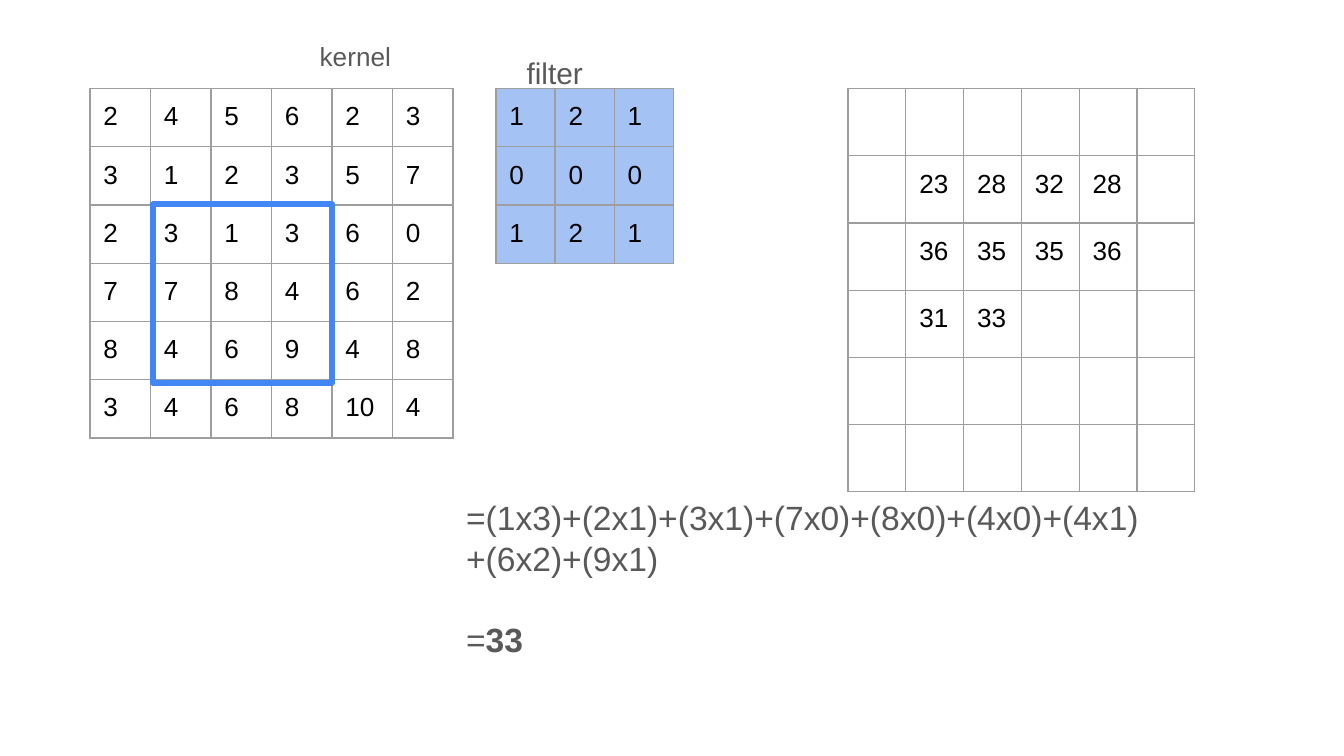
from dataclasses import dataclass
from typing import Optional

from lxml.etree import SubElement
from pptx import Presentation
from pptx.dml.color import RGBColor
from pptx.enum.shapes import MSO_SHAPE as Shape
from pptx.oxml.ns import qn
from pptx.util import Inches, Pt

BLACK = RGBColor(0x00, 0x00, 0x00)
GRAY = RGBColor(0x59, 0x59, 0x59)
BORDER = RGBColor(0x9E, 0x9E, 0x9E)
BLUE = RGBColor(0x42, 0x85, 0xF4)
LIGHT_BLUE = RGBColor(0xA4, 0xC2, 0xF4)
SLIDE_WIDTH = Inches(10)
SLIDE_HEIGHT = SLIDE_WIDTH * 9 // 16
TOP = 0.66
CELL_SIZE = 14
INSET = Inches(0.1)
MARGINS = dict.fromkeys(
    ("margin_left", "margin_top", "margin_right", "margin_bottom"), INSET)


@dataclass
class Matrix:
    left: float
    column_width: float
    height: float
    rows: list[list[str]]
    fill: Optional[RGBColor] = None


@dataclass
class Label:
    left: float
    top: float
    width: float
    height: float
    size: int
    paragraphs: list[list[tuple[str, bool]]]  # runs of text and boldness
    gap: float = 0


KERNEL = Matrix(0.67, 0.45, 2.6, [
    row.split() for row in ("2 4 5 6 2 3", "3 1 2 3 5 7", "2 3 1 3 6 0",
                            "7 7 8 4 6 2", "8 4 6 9 4 8", "3 4 6 8 10 4")])
FILTER = Matrix(3.69, 0.44, 1.3, [
    row.split() for row in ("1 2 1", "0 0 0", "1 2 1")], LIGHT_BLUE)
RESULT = Matrix(6.31, 0.43, 3, [
    row.split(",") for row in (",,,,,", ",23,28,32,28,", ",36,35,35,36,",
                               ",31,33,,,", ",,,,,", ",,,,,")])

LABELS = [
    Label(2.28, 0.2, 0.81, 0.44, 14, [[("kernel", False)]]),
    Label(3.82, 0.31, 6.18, 0.47, 16, [[("filter", False)]]),
    Label(3.37, 3.6, 5.24, 1.41, 18, [
        [("=(1x3)+(2x1)+(3x1)+(7x0)+(8x0)+(4x0)+(4x1)+(6x2)+(9x1)", False)],
        [("=", False), ("33", True)],
    ], gap=22),
]


def apply(target, values: dict) -> None:
    for name, value in values.items():
        setattr(target, name, value)


def add_run(paragraph, text: str, size: int, color: RGBColor,
            bold: bool = False) -> None:
    run = paragraph.add_run()
    run.text = text
    apply(run.font, {"name": "Arial", "size": Pt(size), "bold": bold})
    run.font.color.rgb = color


def add_borders(cell) -> None:
    properties = cell._tc.get_or_add_tcPr()
    for side in ("a:lnL", "a:lnR", "a:lnT", "a:lnB"):
        line = SubElement(properties, qn(side), w=str(Pt(0.75)))
        solid = SubElement(line, qn("a:solidFill"))
        SubElement(solid, qn("a:srgbClr"), val=str(BORDER))


def fill_cell(cell, value: str, color: Optional[RGBColor]) -> None:
    apply(cell, MARGINS)
    add_borders(cell)
    if color is None:
        cell.fill.background()
    else:
        cell.fill.solid()
        cell.fill.fore_color.rgb = color
    paragraph = cell.text_frame.paragraphs[0]
    if value:
        add_run(paragraph, value, CELL_SIZE, BLACK)
    else:  # keeps an empty cell from stretching its row
        SubElement(paragraph._p, qn("a:endParaRPr"), sz=str(CELL_SIZE * 100))


def add_matrix(slide, matrix: Matrix) -> None:
    row_count, column_count = len(matrix.rows), len(matrix.rows[0])
    table = slide.shapes.add_table(
        row_count, column_count, Inches(matrix.left), Inches(TOP),
        Inches(matrix.column_width * column_count),
        Inches(matrix.height)).table
    apply(table, {"first_row": False, "horz_banding": False})
    for column in table.columns:
        column.width = Inches(matrix.column_width)
    for row, values in zip(table.rows, matrix.rows):
        row.height = Inches(matrix.height / row_count)
        for cell, value in zip(row.cells, values):
            fill_cell(cell, value, matrix.fill)


def add_window(slide) -> None:
    shape = slide.shapes.add_shape(
        Shape.RECTANGLE, Inches(1.14), Inches(1.52), Inches(1.33), Inches(1.33))
    shape.shadow.inherit = False
    shape.fill.background()
    shape.line.color.rgb = BLUE
    shape.line.width = Pt(3)
    SubElement(shape._element.spPr.find(qn("a:ln")), qn("a:round"))


def add_label(slide, label: Label) -> None:
    box = slide.shapes.add_textbox(
        Inches(label.left), Inches(label.top),
        Inches(label.width), Inches(label.height))
    frame = box.text_frame
    apply(frame, {**MARGINS, "word_wrap": True})
    for index, runs in enumerate(label.paragraphs):
        paragraph = frame.add_paragraph() if index else frame.paragraphs[0]
        paragraph.space_before = Pt(label.gap if index else 0)
        for text, bold in runs:
            add_run(paragraph, text, label.size, GRAY, bold)


def main() -> None:
    presentation = Presentation()
    apply(presentation, {"slide_width": SLIDE_WIDTH,
                         "slide_height": SLIDE_HEIGHT})
    slide = presentation.slides.add_slide(presentation.slide_layouts[6])

    # Input values with the current window marked
    add_matrix(slide, KERNEL)
    add_window(slide)

    # Filter weights and convolved values
    add_matrix(slide, FILTER)
    add_matrix(slide, RESULT)

    # Captions and calculation
    for label in LABELS:
        add_label(slide, label)

    presentation.save("out.pptx")


if __name__ == "__main__":
    main()
